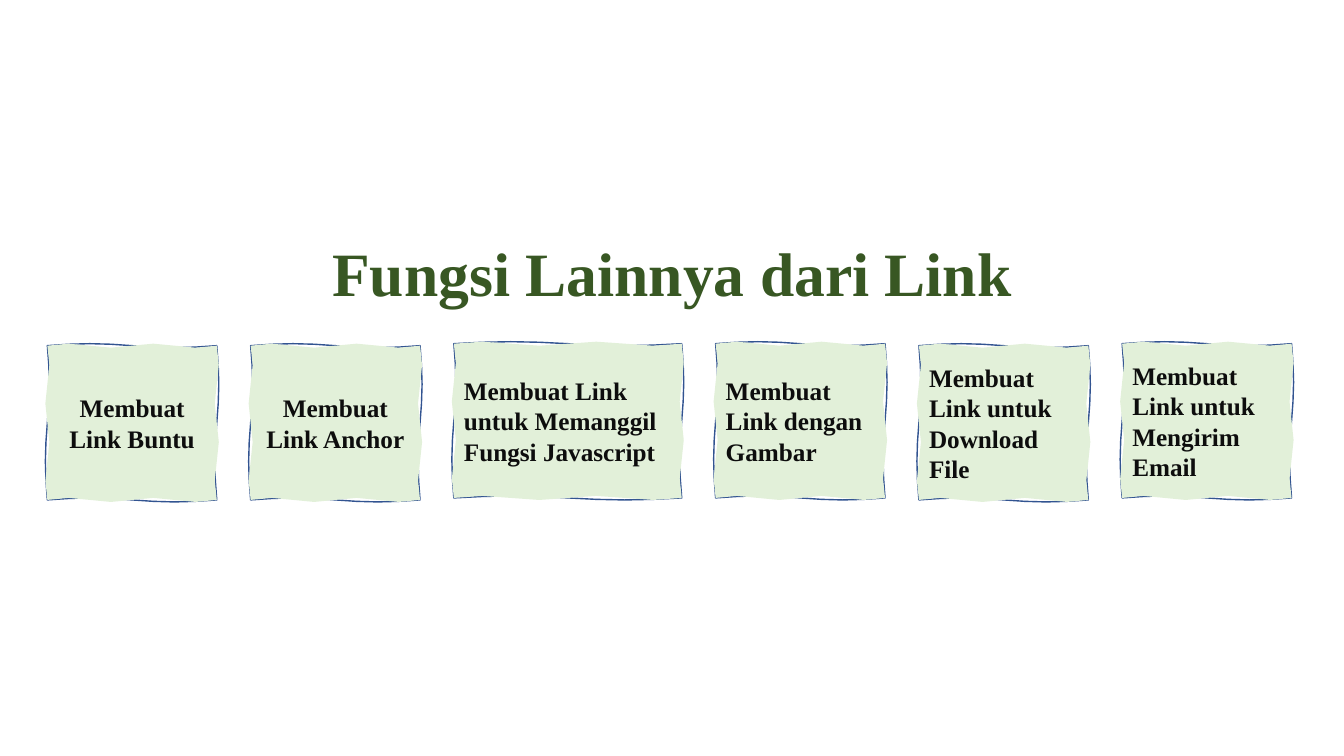
import math

import pptx
import pptx.dml.color
import pptx.enum.text
import pptx.util
from pptx.util import Inches

FONT = "Times New Roman"
LEFT, RIGHT = 0.47, 12.81
CARD_HEIGHT = 1.53
AMPLITUDE = 0.02
STEPS = 8
ALIGN = pptx.enum.text.PP_ALIGN
MIDDLE = pptx.enum.text.MSO_ANCHOR.MIDDLE

CARDS = [
    ("Membuat Link Buntu", 3.43, 1.68, ALIGN.CENTER),
    ("Membuat Link Anchor", 3.43, 1.68, ALIGN.CENTER),
    ("Membuat Link untuk Memanggil Fungsi Javascript", 3.41, 2.26, ALIGN.LEFT),
    ("Membuat Link dengan Gambar", 3.41, 1.68, ALIGN.LEFT),
    ("Membuat Link untuk Download File", 3.43, 1.68, ALIGN.LEFT),
    ("Membuat Link untuk Mengirim Email", 3.41, 1.68, ALIGN.LEFT),
]


def color(value):
    return pptx.dml.color.RGBColor.from_string(value)


def set_text(sp, text, size, font_color, align):
    tf = sp.text_frame
    tf.word_wrap = True
    tf.vertical_anchor = MIDDLE
    p = tf.paragraphs[0]
    p.text = text
    p.alignment = align
    p.font.name = FONT
    p.font.size = pptx.util.Pt(size)
    p.font.bold = True
    p.font.color.rgb = color(font_color)
    return tf


def wavy_points(left, top, width, height, waves):
    right, bottom = left + width, top + height
    corners = [(left, top), (right, top), (right, bottom), (left, bottom)]
    points = []
    for (x1, y1), (x2, y2) in zip(corners, corners[1:] + corners[:1]):
        length = math.hypot(x2 - x1, y2 - y1)
        for step in range(STEPS):
            t = step / STEPS
            shift = AMPLITUDE * math.sin(2 * math.pi * waves * t) / length
            x = x1 + (x2 - x1) * t + (y2 - y1) * shift
            y = y1 + (y2 - y1) * t - (x2 - x1) * shift
            points.append((Inches(x), Inches(y)))
    return points


def add_wavy_box(s, left, top, width, waves):
    points = wavy_points(left, top, width, CARD_HEIGHT, waves)
    builder = s.shapes.build_freeform(*points[0])
    builder.add_line_segments(points[1:], close=True)
    sp = builder.convert_to_shape()
    sp.shadow.inherit = False
    return sp


def add_card(s, text, left, top, width, align):
    border = add_wavy_box(s, left, top, width, 1)
    border.fill.background()
    border.line.color.rgb = color("325491")
    border.line.width = pptx.util.Pt(1)
    body = add_wavy_box(s, left, top, width, 2)
    body.fill.solid()
    body.fill.fore_color.rgb = color("E2F0D9")
    body.line.fill.background()
    tf = set_text(body, text, 18, "0D0D0D", align)
    tf.margin_left = tf.margin_right = Inches(0.12)


def add_title(s):
    sp = s.shapes.add_textbox(Inches(0.92), Inches(2.3), Inches(11.5), Inches(0.89))
    tf = set_text(sp, "Fungsi Lainnya dari Link", 44, "385723", ALIGN.CENTER)
    tf.paragraphs[0].line_spacing = 0.9


def main():
    prs = pptx.Presentation()
    prs.slide_width = Inches(13.33)
    prs.slide_height = Inches(7.5)
    s = prs.slides.add_slide(prs.slide_layouts[6])
    add_title(s)
    total_width = sum(width for _, _, width, _ in CARDS)
    gap = (RIGHT - LEFT - total_width) / (len(CARDS) - 1)
    left = LEFT
    for text, top, width, align in CARDS:
        add_card(s, text, left, top, width, align)
        left += width + gap
    prs.save("out.pptx")


if __name__ == "__main__":
    main()
